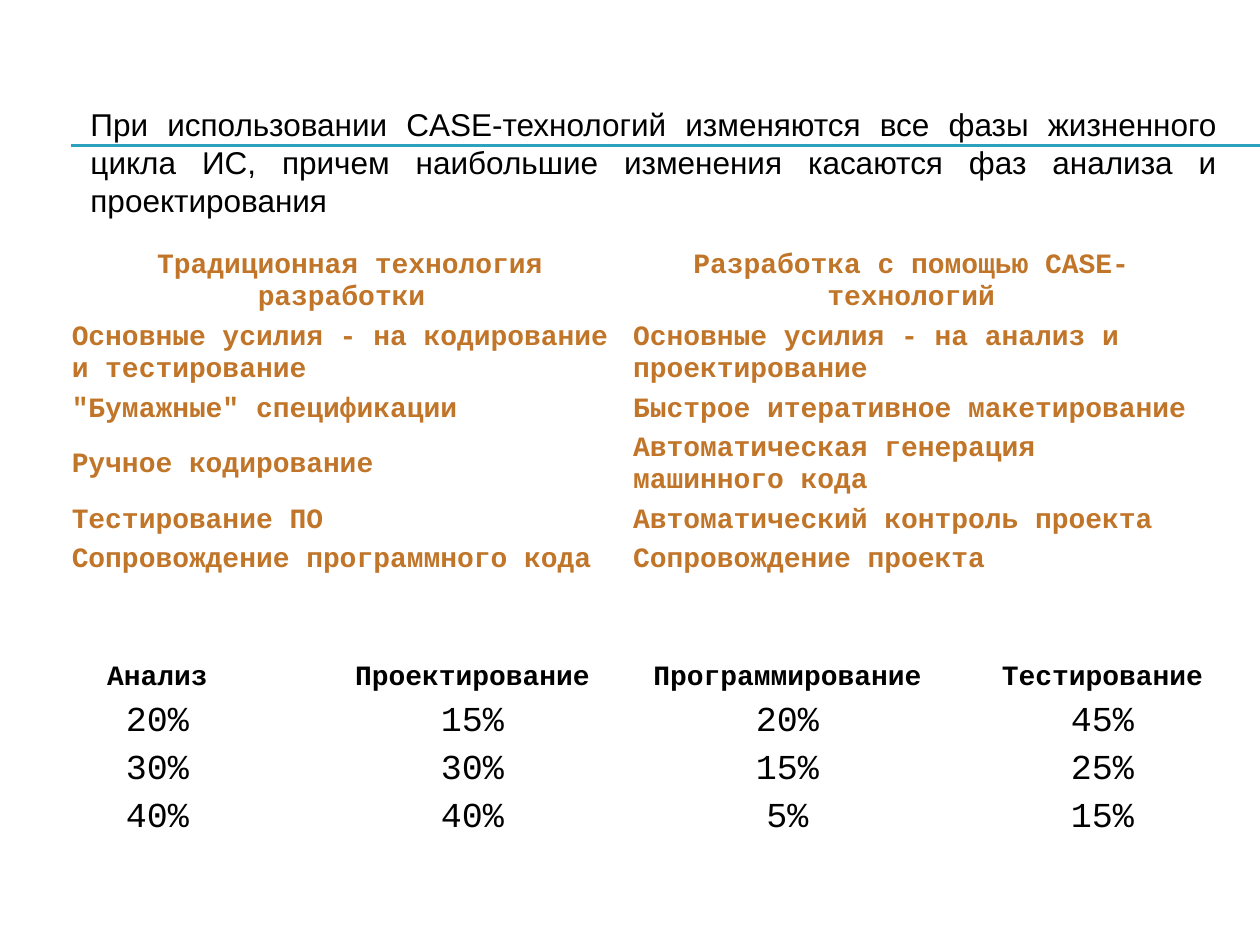
from dataclasses import dataclass

import pptx
import pptx.dml.color
import pptx.enum.shapes
import pptx.enum.text
import pptx.oxml.ns
import pptx.util
from lxml import etree

Inches = pptx.util.Inches
Align = pptx.enum.text.PP_ALIGN
Anchor = pptx.enum.text.MSO_ANCHOR


@dataclass(frozen=True)
class Theme:
    rule: str = "2DA2BF"
    accent: str = "C17529"
    ink: str = "000000"
    body_font: str = "Arial"
    table_font: str = "Courier New"
    intro_size: int = 18
    label_size: int = 16
    value_size: int = 20


@dataclass(frozen=True)
class Grid:
    left: float
    top: float
    width: float
    row_heights: tuple[float, ...]
    rows: tuple[tuple[str, ...], ...]
    color: str
    body_size: int
    body_bold: bool
    body_align: Align


THEME = Theme()

COMPARISON = Grid(
    0.55, 1.95, 8.91, (0.57, 0.57, 0.31, 0.57, 0.31, 0.31),
    (
        ("Традиционная технология разработки ", "Разработка с помощью CASE-технологий"),
        ("Основные усилия - на кодирование и тестирование",
         "Основные усилия - на анализ и проектирование"),
        ('"Бумажные" спецификации', "Быстрое итеративное макетирование"),
        ("Ручное кодирование", "Автоматическая генерация машинного кода"),
        ("Тестирование ПО", "Автоматический контроль проекта"),
        ("Сопровождение программного кода", "Сопровождение проекта"),
    ),
    THEME.accent, THEME.label_size, True, Align.LEFT,
)

EFFORT = Grid(
    0, 5.23, 10, (0.31, 0.38, 0.38, 0.38),
    (
        ("Анализ", "Проектирование", "Программирование", "Тестирование"),
        ("20%", "15%", "20%", "45%"),
        ("30%", "30%", "15%", "25%"),
        ("40%", "40%", "5%", "15%"),
    ),
    THEME.ink, THEME.value_size, False, Align.CENTER,
)


def write_text(frame, text: str, *, font: str, size: int, color: str,
               bold: bool = False, align: Align = Align.LEFT) -> None:
    para = frame.paragraphs[0]
    para.alignment = align
    span = para.add_run()
    span.text = text
    span.font.name = font
    span.font.size = pptx.util.Pt(size)
    span.font.bold = bold
    span.font.color.rgb = pptx.dml.color.RGBColor.from_string(color)


def draw_rule(page, top: float) -> None:
    rule = page.shapes.add_connector(
        pptx.enum.shapes.MSO_CONNECTOR.STRAIGHT,
        Inches(0.56), Inches(top), Inches(10), Inches(top))
    rule.line.color.rgb = pptx.dml.color.RGBColor.from_string(THEME.rule)
    rule.line.width = pptx.util.Pt(0.75)
    properties = rule._element.spPr
    etree.SubElement(properties, pptx.oxml.ns.qn("a:effectLst"))


def draw_grid(page, grid: Grid) -> None:
    column_count = len(grid.rows[0])
    table = page.shapes.add_table(
        len(grid.rows), column_count, Inches(grid.left), Inches(grid.top),
        Inches(grid.width), Inches(sum(grid.row_heights))).table
    table.first_row = False
    table.horz_banding = False
    for column in table.columns:
        column.width = Inches(grid.width / column_count)
    for row_index, (height, texts) in enumerate(zip(grid.row_heights, grid.rows)):
        table.rows[row_index].height = Inches(height)
        heading = row_index == 0
        for column_index, text in enumerate(texts):
            cell = table.cell(row_index, column_index)
            cell.fill.background()
            cell.vertical_anchor = Anchor.MIDDLE
            cell.margin_left = cell.margin_right = Inches(0.02)
            cell.margin_top = cell.margin_bottom = Inches(0.02)
            write_text(
                cell.text_frame, text, font=THEME.table_font, color=grid.color,
                size=THEME.label_size if heading else grid.body_size,
                bold=heading or grid.body_bold,
                align=Align.CENTER if heading else grid.body_align)


def main() -> None:
    deck = pptx.Presentation()
    deck.slide_width, deck.slide_height = Inches(10), Inches(7.5)
    page = deck.slides.add_slide(deck.slide_layouts[6])

    # Double rule behind the introduction
    for top in (1.15, 1.16):
        draw_rule(page, top)

    # Introduction
    box = page.shapes.add_textbox(Inches(0.62), Inches(0.78), Inches(9.14), Inches(1.01))
    box.text_frame.word_wrap = True
    box.text_frame.auto_size = pptx.enum.text.MSO_AUTO_SIZE.SHAPE_TO_FIT_TEXT
    box.text_frame.vertical_anchor = Anchor.MIDDLE
    write_text(
        box.text_frame,
        "При использовании CASE-технологий изменяются все фазы жизненного цикла ИС, "
        "причем наибольшие изменения касаются фаз анализа и проектирования",
        font=THEME.body_font, size=THEME.intro_size, color=THEME.ink, align=Align.JUSTIFY)

    # Comparison of approaches and share of effort by phase
    for grid in (COMPARISON, EFFORT):
        draw_grid(page, grid)

    deck.save("out.pptx")


if __name__ == "__main__":
    main()
